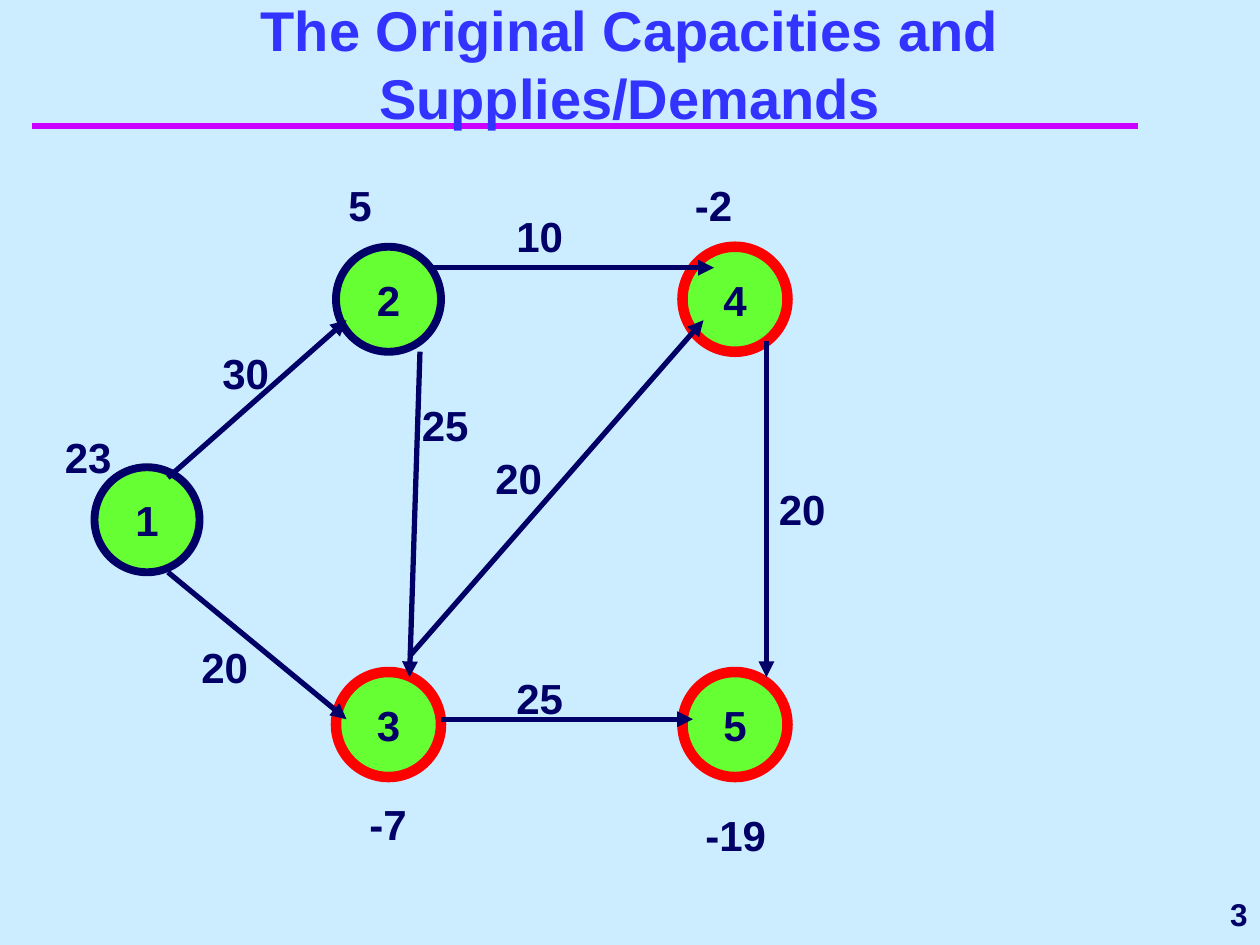
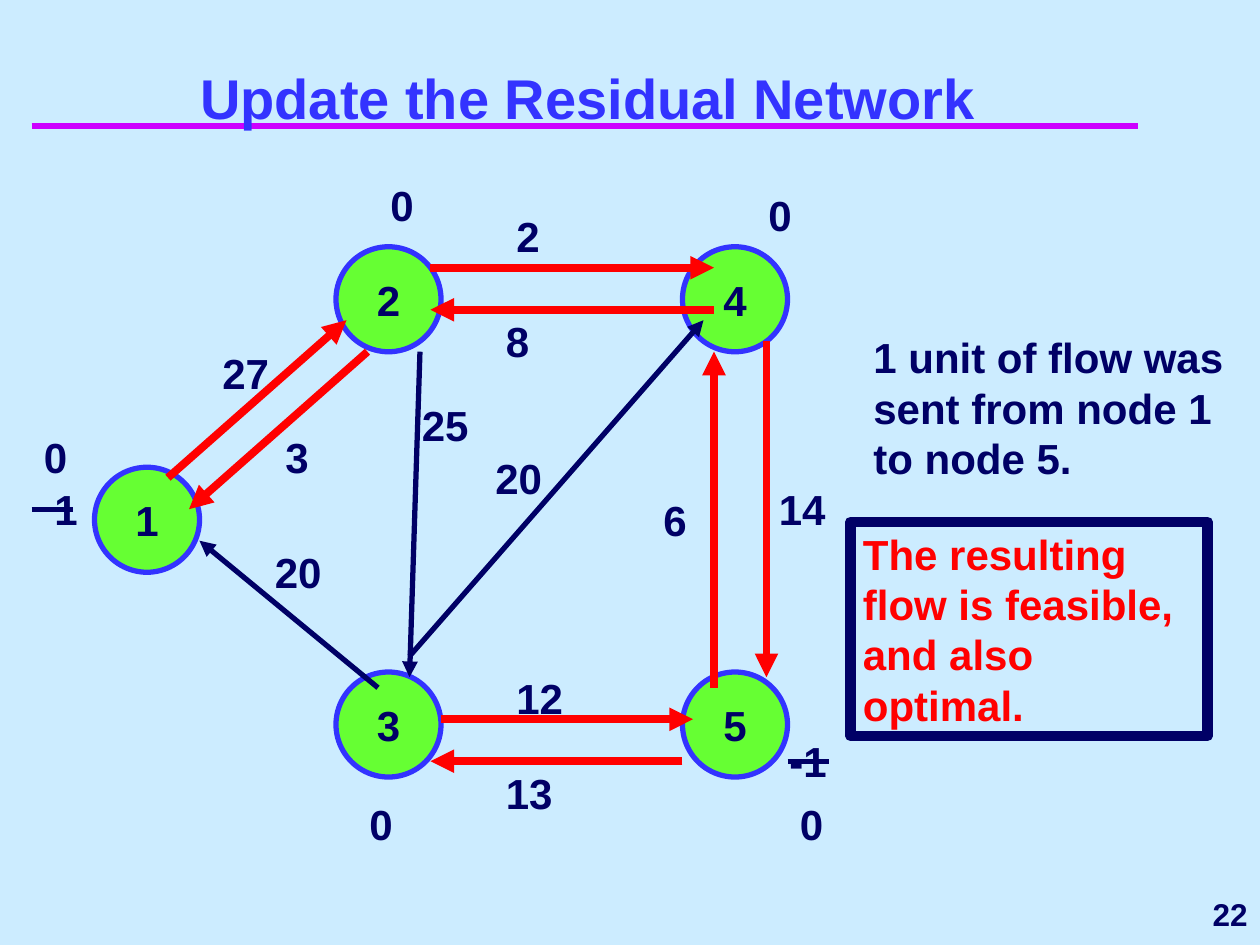
import pptx
import pptx.util
import pptx.dml.color
import pptx.enum.shapes
import pptx.enum.text
from lxml import etree

RGB = pptx.dml.color.RGBColor
SKY = RGB(0xCC, 0xEC, 0xFF)
MAGENTA = RGB(0xCC, 0x00, 0xFF)
BLUE = RGB(0x33, 0x33, 0xFF)
NAVY = RGB(0x00, 0x00, 0x66)
GREEN = RGB(0x66, 0xFF, 0x33)
RED = RGB(0xFF, 0x00, 0x00)

ALIGN = pptx.enum.text.PP_ALIGN
ANCHOR = pptx.enum.text.MSO_ANCHOR
SHAPE = pptx.enum.shapes.MSO_SHAPE

PX_PER_INCH = 120
SLIDE_SIZE = (1200, 900)
TITLE_RULE = (30, 120, 1084, 120)
PAGE_NUMBER_BOX = (970, 840, 230, 60)
NODE_SIZE = 100
ARC_LABEL_SIZE = (140, 60)
SUPPLY_SIZE = (90, 60)

BODY_FONT = {"name": "Arial", "size": pptx.util.Pt(24), "bold": True}
TITLE_FONT = {**BODY_FONT, "size": pptx.util.Pt(32)}
PAGE_FONT = {**BODY_FONT, "size": pptx.util.Pt(18)}

# Node: left, top
NODES = {1: (90, 445), 2: (320, 235), 3: (320, 640), 5: (650, 640), 4: (650, 235)}

# (tail node, head node): start and end of the arrow, left and top of its label
ARCS = {
    (1, 2): ((160, 455, 330, 305), (200, 325)),
    (2, 4): ((410, 255, 680, 255), (480, 195)),
    (4, 5): ((730, 325, 730, 645), (730, 455)),
    (3, 4): ((390, 625, 670, 305), (460, 425)),
    (1, 3): ((160, 545, 330, 685), (180, 605)),
    (3, 5): ((420, 685, 660, 685), (480, 635)),
    (2, 3): ((400, 335, 390, 645), (390, 375)),
    (2, 1): ((350, 335, 180, 485), (260, 405)),
    (4, 2): ((680, 295, 410, 295), (470, 295)),
    (5, 4): ((680, 655, 680, 335), (620, 465)),
    (5, 3): ((650, 725, 410, 725), (470, 725)),
    (3, 1): ((360, 655, 190, 515), (250, 515)),
}

PLAIN_ARC = (NAVY, 3)
CHANGED_ARC = (RED, 4.5)

NETWORKS = [
    {
        "title": "The Original Capacities and Supplies/Demands",
        "title_box": (0, 80, 1200, 50),
        "page": "3",
        "rings": {1: (NAVY, 4.5), 2: (NAVY, 4.5), 3: (RED, 6), 4: (RED, 6), 5: (RED, 6)},
        "capacities": {(1, 2): 30, (2, 4): 10, (4, 5): 20, (3, 4): 20,
                       (1, 3): 20, (3, 5): 25, (2, 3): 25},
        "changed": set(),
        "supplies": [("23", 50, 405), ("5", 320, 165), ("-2", 650, 165),
                     ("-7", 340, 755), ("-19", 660, 765)],
        "strikes": [],
        "notes": [],
    },
    {
        "title": "Update the Residual Network",
        "title_box": (50, 80, 1020, 50),
        "page": "22",
        "rings": dict.fromkeys(NODES, (BLUE, 3)),
        "capacities": {(1, 2): 27, (2, 4): 2, (4, 5): 14, (3, 4): 20, (3, 5): 12,
                       (2, 3): 25, (3, 1): 20, (5, 3): 13, (2, 1): 3, (4, 2): 8, (5, 4): 6},
        "changed": {(1, 2), (2, 1), (2, 4), (4, 2), (4, 5), (5, 4), (3, 5), (5, 3)},
        "supplies": [("0", 30, 405), ("1", 40, 455), ("0", 360, 165), ("0", 720, 175),
                     ("0", 340, 755), ("-1", 740, 695), ("0", 750, 755)],
        "strikes": [(30, 485, 70, 485), (750, 725, 790, 725)],
        "notes": [
            ("1 unit of flow was sent from node 1 to node 5.", (820, 310, 380, 156), NAVY, None),
            ("The resulting flow is feasible, and also optimal.", (810, 497, 340, 204), RED, (NAVY, 6)),
        ],
    },
]


def px(*lengths):
    return [pptx.util.Emu(round(length * 914400 / PX_PER_INCH)) for length in lengths]


def set_outline(shape, outline):
    color, points = outline
    shape.line.color.rgb = color
    shape.line.width = pptx.util.Pt(points)


def write(shape, text, color=NAVY, font=BODY_FONT, align=ALIGN.LEFT, anchor=ANCHOR.TOP, wrap=True):
    frame = shape.text_frame
    frame.word_wrap = wrap
    frame.vertical_anchor = anchor
    paragraph = frame.paragraphs[0]
    paragraph.alignment = align
    run = paragraph.add_run()
    run.text = text
    for attribute, value in font.items():
        setattr(run.font, attribute, value)
    run.font.color.rgb = color


def add_text(slide, box, text, **style):
    text_box = slide.shapes.add_textbox(*px(*box))
    write(text_box, text, **style)
    return text_box


def add_line(slide, ends, outline, arrow=False):
    line = slide.shapes.add_connector(pptx.enum.shapes.MSO_CONNECTOR.STRAIGHT, *px(*ends))
    set_outline(line, outline)
    if arrow:
        etree.SubElement(line.line._get_or_add_ln(), pptx.oxml.ns.qn("a:tailEnd"), type="triangle")
    etree.SubElement(line._element.spPr, pptx.oxml.ns.qn("a:effectLst"))


def add_node(slide, number, ring):
    node = slide.shapes.add_shape(SHAPE.OVAL, *px(*NODES[number], NODE_SIZE, NODE_SIZE))
    node.shadow.inherit = False
    node.fill.solid()
    node.fill.fore_color.rgb = GREEN
    set_outline(node, ring)
    write(node, str(number), align=ALIGN.CENTER, anchor=ANCHOR.MIDDLE, wrap=False)


def add_network(prs, network):
    slide = prs.slides.add_slide(prs.slide_layouts[6])
    add_line(slide, TITLE_RULE, (MAGENTA, 4))
    add_text(slide, network["title_box"], network["title"], color=BLUE, font=TITLE_FONT,
             align=ALIGN.CENTER, anchor=ANCHOR.BOTTOM)
    for number in NODES:
        add_node(slide, number, network["rings"][number])
    for arc in network["capacities"]:
        outline = CHANGED_ARC if arc in network["changed"] else PLAIN_ARC
        add_line(slide, ARCS[arc][0], outline, arrow=True)
    for arc, capacity in network["capacities"].items():
        add_text(slide, ARCS[arc][1] + ARC_LABEL_SIZE, str(capacity))
    for supply, left, top in network["supplies"]:
        add_text(slide, (left, top) + SUPPLY_SIZE, supply)
    for strike in network["strikes"]:
        add_line(slide, strike, PLAIN_ARC)
    for note, box, color, frame in network["notes"]:
        note_box = add_text(slide, box, note, color=color)
        if frame:
            set_outline(note_box, frame)
    add_text(slide, PAGE_NUMBER_BOX, network["page"], font=PAGE_FONT,
             align=ALIGN.RIGHT, anchor=ANCHOR.MIDDLE)


def main():
    prs = pptx.Presentation()
    prs.slide_width, prs.slide_height = px(*SLIDE_SIZE)
    background = prs.slide_master.background.fill
    background.solid()
    background.fore_color.rgb = SKY
    for network in NETWORKS:
        add_network(prs, network)
    prs.save("out.pptx")


if __name__ == "__main__":
    main()
